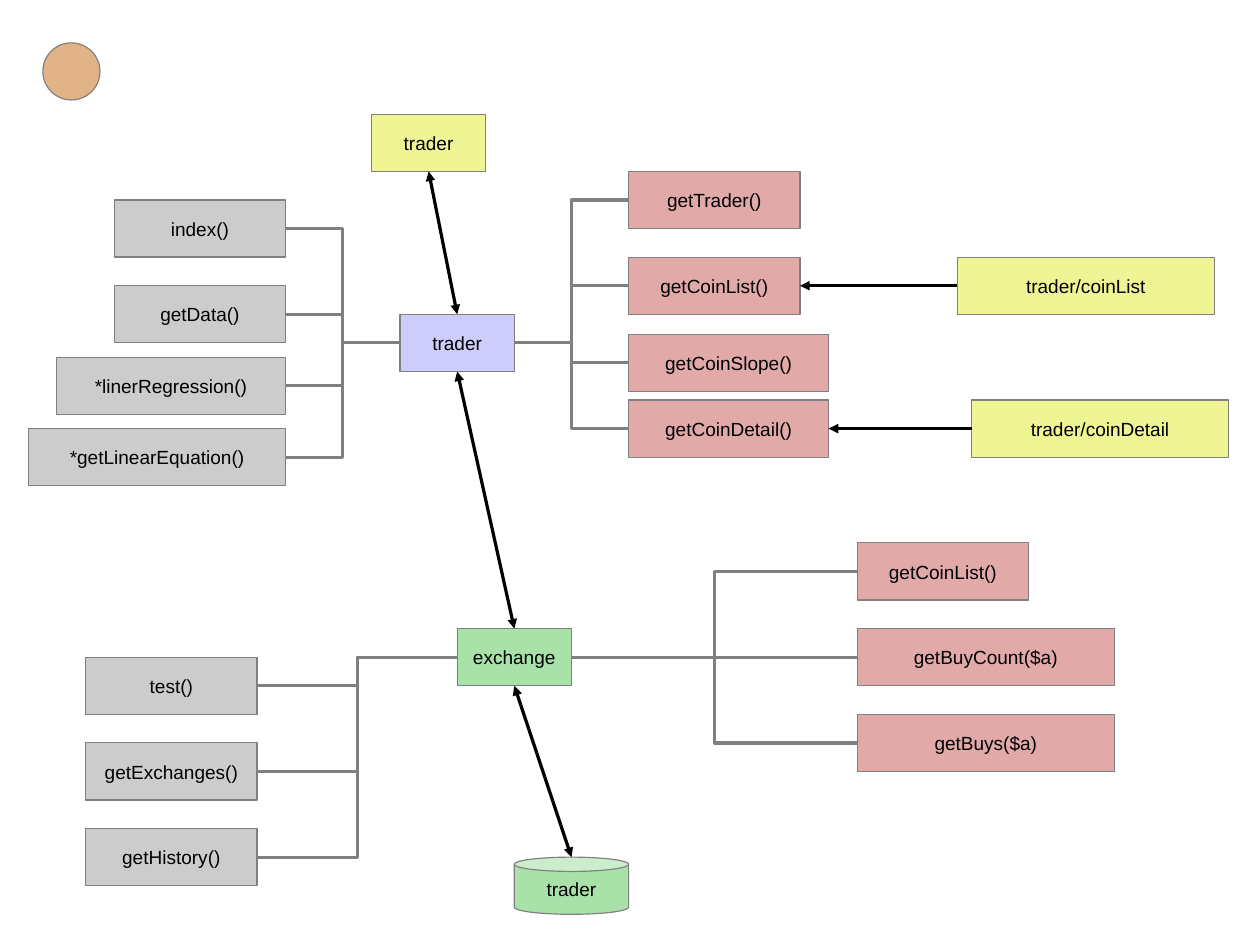
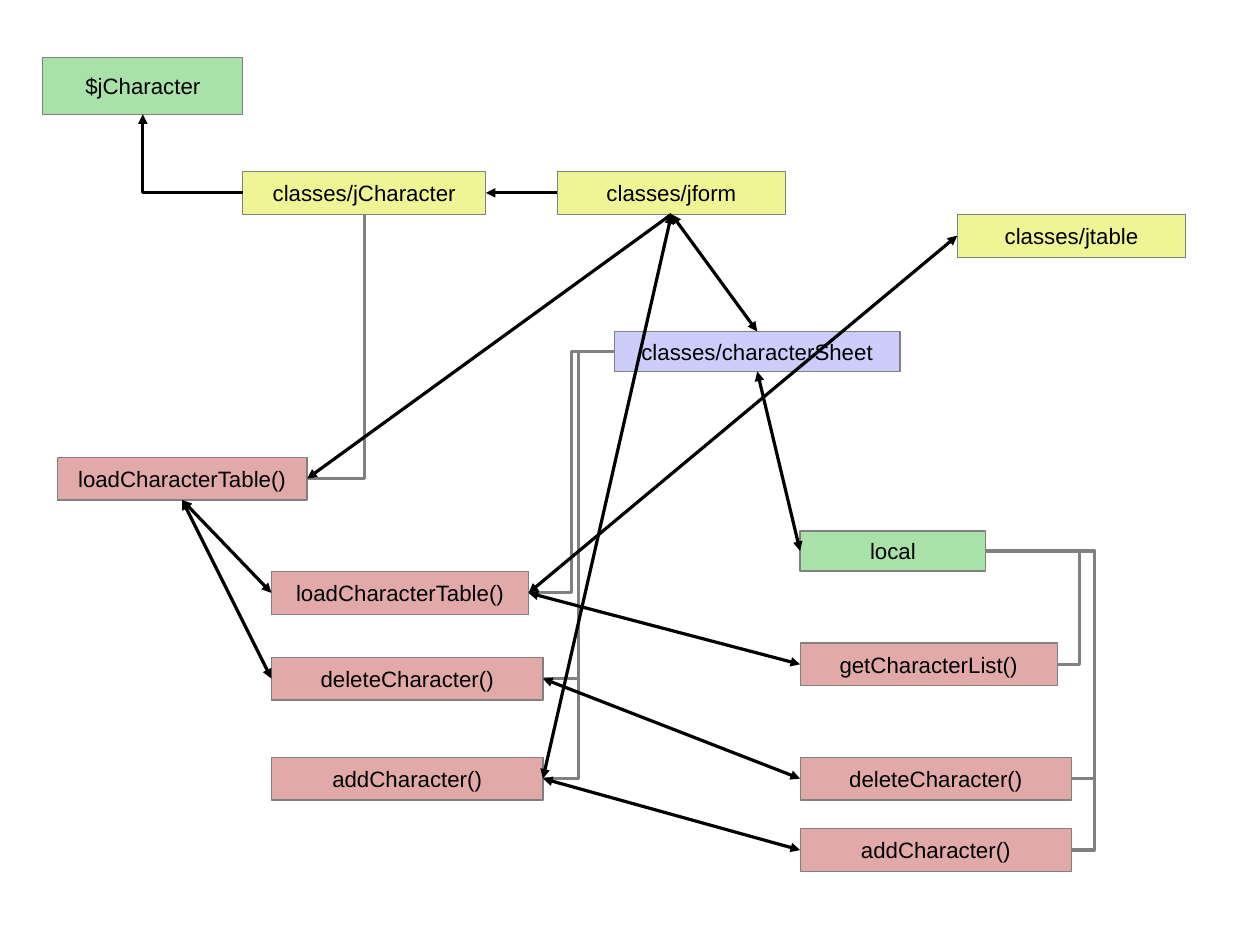
"""Draw two class and method diagrams with glued connectors."""
from lxml import etree
from pptx import Presentation
from pptx.dml.color import RGBColor
from pptx.enum import shapes, text as text_enum
from pptx.oxml import ns
from pptx.util import Pt

BLACK = RGBColor(0x00, 0x00, 0x00)
OUTLINE = RGBColor(0x80, 0x80, 0x80)
ORANGE = RGBColor(0xE2, 0xB3, 0x87)
BLUE = RGBColor(0xCD, 0xCD, 0xFB)
YELLOW = RGBColor(0xEF, 0xF4, 0x94)
GREEN = RGBColor(0xA9, 0xE2, 0xA9)
RED = RGBColor(0xE2, 0xA9, 0xA9)
GRAY = RGBColor(0xCC, 0xCC, 0xCC)
FONT = "Arial"
TOP, LEFT, BOTTOM, RIGHT = range(4)
OVERHANG = Pt(14.2)
SHAPE = shapes.MSO_SHAPE
STRAIGHT = shapes.MSO_CONNECTOR.STRAIGHT
ELBOW = shapes.MSO_CONNECTOR.ELBOW


def write(shape, text, size=12, color=BLACK, font=FONT, wrap=True):
    """Put centred text into a shape."""
    frame = shape.text_frame
    frame.word_wrap = wrap
    frame.vertical_anchor = text_enum.MSO_ANCHOR.MIDDLE
    paragraph = frame.paragraphs[0]
    paragraph.alignment = text_enum.PP_ALIGN.CENTER
    run = paragraph.add_run()
    run.text = text
    run.font.size = Pt(size)
    run.font.name = font
    run.font.color.rgb = color


def add_node(slide, left, top, width, height, fill, kind=SHAPE.RECTANGLE):
    """Add a flat filled shape with a hairline outline."""
    shape = slide.shapes.add_shape(kind, Pt(left), Pt(top), Pt(width), Pt(height))
    shape.shadow.inherit = False
    shape.fill.solid()
    shape.fill.fore_color.rgb = fill
    shape.line.color.rgb = OUTLINE
    shape.line.width = Pt(0)
    return shape


def add_box(slide, text, left, top, width, fill, height=36, size=12):
    """Add a labelled rectangle."""
    shape = add_node(slide, left, top, width, height, fill)
    write(shape, text, size=size)
    return shape


def add_stack(slide, rows, fill, left=None, right=None, **style):
    """Add labelled boxes sharing a left or a right edge."""
    return [add_box(slide, text, right - width if left is None else left, top, width, fill, **style)
            for text, top, width in rows]


def add_link(slide, start, start_side, end, end_side, kind=STRAIGHT, color=BLACK, arrows=()):
    """Glue a hairline connector to sides of two shapes."""
    connector = slide.shapes.add_connector(kind, 0, 0, 0, 0)
    connector.begin_connect(start, start_side)
    connector.end_connect(end, end_side)
    connector.line.color.rgb = color
    connector.line.width = Pt(0)
    properties = connector._element.spPr
    line = properties.find(ns.qn("a:ln"))
    for arrow in arrows:
        etree.SubElement(line, ns.qn(f"a:{arrow}"), type="triangle")
    etree.SubElement(properties, ns.qn("a:effectLst"))
    return connector


def add_both(slide, start, start_side, end, end_side):
    """Add a straight double-headed arrow."""
    return add_link(slide, start, start_side, end, end_side, arrows=("headEnd", "tailEnd"))


def add_arrow(slide, start, start_side, end, end_side):
    """Add a straight single-headed arrow."""
    return add_link(slide, start, start_side, end, end_side, arrows=("tailEnd",))


def add_corner(slide, start, start_side, end, end_side, **style):
    """Add a connector with one right angle, leaving horizontally."""
    connector = add_link(slide, start, start_side, end, end_side, kind=ELBOW, **style)
    connector._element.spPr.find(ns.qn("a:prstGeom")).set("prst", "bentConnector2")


def add_fan(slide, parent, parent_side, children, child_side):
    """Join a parent to each child with elbow lines."""
    for child in children:
        connector = add_link(slide, parent, parent_side, child, child_side, kind=ELBOW, color=OUTLINE)
        if parent_side == child_side:
            span = connector.end_x - connector.begin_x
            bend = round(100000 * (span + OVERHANG) / span)
            guides = connector._element.spPr.find(ns.qn("a:prstGeom")).get_or_add_avLst()
            etree.SubElement(guides, ns.qn("a:gd"), name="adj1", fmla=f"val {bend}")


def build_trader_slide(slide):
    """Draw the trader controller, its model and its methods."""
    add_node(slide, 27, 27, 36, 36, ORANGE, SHAPE.OVAL)
    controller = add_box(slide, "trader", 252, 198, 72, BLUE)
    view = add_box(slide, "trader", 234, 72, 72, YELLOW)
    exchange = add_box(slide, "exchange", 288, 396, 72, GREEN)
    database = add_node(slide, 324, 540, 72, 36, GREEN, SHAPE.CAN)
    write(database, "trader", wrap=False)
    detail_view = add_box(slide, "trader/coinDetail", 612, 252, 162, YELLOW)
    list_view = add_box(slide, "trader/coinList", 603, 162, 162, YELLOW)

    pages = add_stack(slide, [
        ("index()", 126, 108),
        ("getData()", 180, 108),
        ("*linerRegression()", 225, 144.5),
        ("*getLinearEquation()", 270, 162),
    ], GRAY, right=180)
    services = add_stack(slide, [
        ("getTrader()", 108, 108),
        ("getCoinList()", 162, 108),
        ("getCoinSlope()", 210.5, 126),
        ("getCoinDetail()", 252, 126),
    ], RED, left=396)
    exchange_pages = add_stack(slide, [
        ("test()", 414, 108),
        ("getExchanges()", 468, 108),
        ("getHistory()", 522, 108),
    ], GRAY, right=162)
    queries = add_stack(slide, [
        ("getCoinList()", 342, 108),
        ("getBuyCount($a)", 396, 162),
        ("getBuys($a)", 450, 162),
    ], RED, left=540)

    add_fan(slide, controller, LEFT, pages, RIGHT)
    add_fan(slide, controller, RIGHT, services, LEFT)
    add_fan(slide, exchange, LEFT, exchange_pages, RIGHT)
    add_fan(slide, exchange, RIGHT, queries, LEFT)
    add_both(slide, view, BOTTOM, controller, TOP)
    add_both(slide, controller, BOTTOM, exchange, TOP)
    storage_link = add_both(slide, exchange, BOTTOM, database, TOP)
    storage_link.end_connect(database, 1)
    storage_link.end_x = database.left + database.width // 2
    storage_link.end_y = database.top
    add_arrow(slide, list_view, LEFT, services[1], RIGHT)
    add_arrow(slide, detail_view, LEFT, services[3], RIGHT)


def build_character_slide(slide):
    """Draw the character sheet classes and their methods."""
    style = {"height": 27, "size": 14}
    variable = add_box(slide, "$jCharacter", 27, 36, 126, GREEN, size=14)
    character = add_box(slide, "classes/jCharacter", 153, 108, 153, YELLOW, **style)
    form = add_box(slide, "classes/jform", 351, 108, 144, YELLOW, **style)
    table = add_box(slide, "classes/jtable", 603, 135, 144, YELLOW, **style)
    sheet = add_box(slide, "classes/characterSheet", 387, 208.8, 180, BLUE, height=25.2, size=14)
    local = add_box(slide, "local", 504, 334.5, 117, GREEN, height=25.2, size=14)
    loader = add_box(slide, "loadCharacterTable()", 36, 288, 157.5, RED, **style)
    sheet_methods = add_stack(slide, [
        ("loadCharacterTable()", 360, 162),
        ("deleteCharacter()", 414, 171),
        ("addCharacter()", 477, 171),
    ], RED, left=171, **style)
    local_methods = add_stack(slide, [
        ("getCharacterList()", 405, 162),
        ("deleteCharacter()", 477, 171),
        ("addCharacter()", 522, 171),
    ], RED, left=504, **style)

    add_fan(slide, sheet, LEFT, sheet_methods, RIGHT)
    add_fan(slide, local, RIGHT, local_methods, RIGHT)
    add_corner(slide, character, LEFT, variable, BOTTOM, arrows=("tailEnd",))
    add_corner(slide, loader, RIGHT, character, BOTTOM, color=OUTLINE)
    add_arrow(slide, form, LEFT, character, RIGHT)
    add_arrow(slide, form, BOTTOM, loader, RIGHT)
    add_both(slide, form, BOTTOM, sheet, TOP)
    add_both(slide, form, BOTTOM, sheet_methods[2], RIGHT)
    add_both(slide, sheet, BOTTOM, local, LEFT)
    add_both(slide, sheet_methods[0], RIGHT, table, LEFT)
    for method in sheet_methods[:2]:
        add_both(slide, loader, BOTTOM, method, LEFT)
    for sheet_method, local_method in zip(sheet_methods, local_methods):
        add_both(slide, sheet_method, RIGHT, local_method, LEFT)


def main():
    """Build and save the presentation."""
    presentation = Presentation()
    presentation.slide_width = Pt(793.7)
    presentation.slide_height = Pt(595.3)
    for build in (build_trader_slide, build_character_slide):
        build(presentation.slides.add_slide(presentation.slide_layouts[6]))
    presentation.save("out.pptx")


if __name__ == "__main__":
    main()
